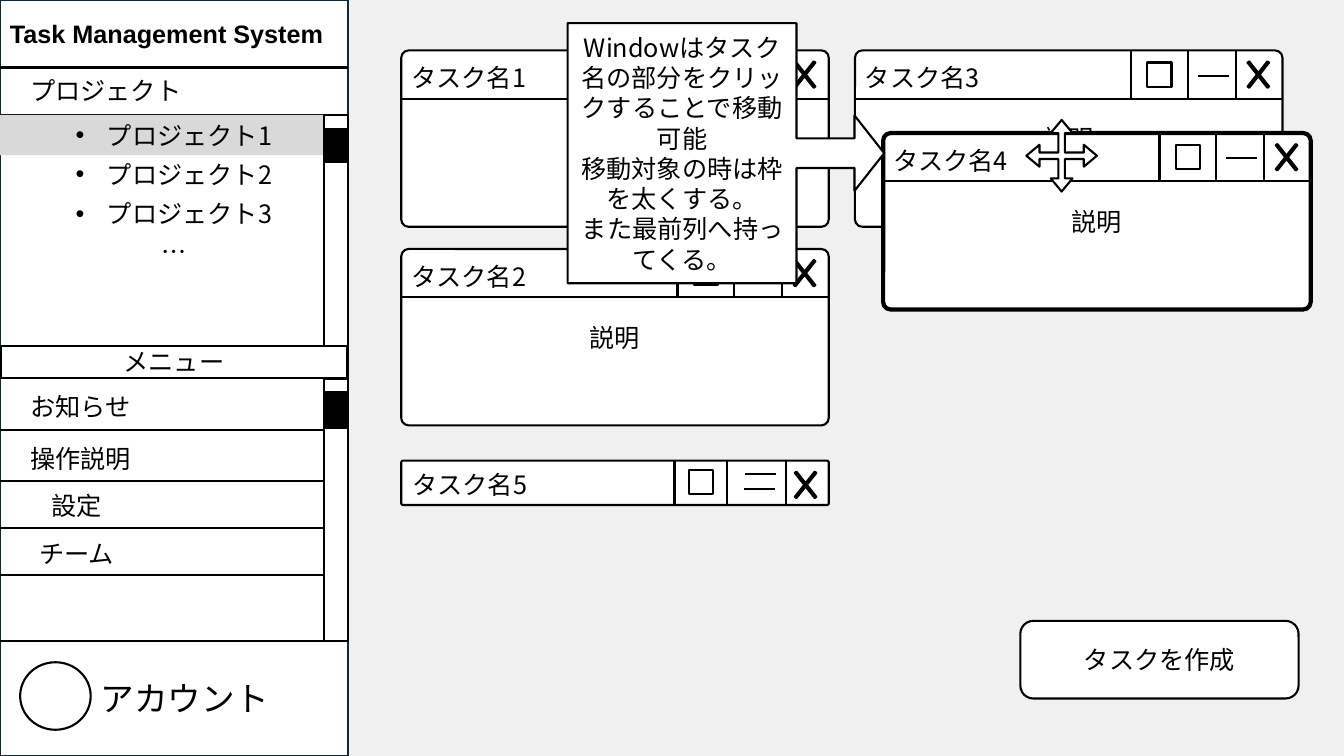
"""Build the task management screen mock-up slide."""
from lxml import etree
from pptx import Presentation
from pptx.dml.color import RGBColor
from pptx.enum.shapes import MSO_CONNECTOR, MSO_SHAPE
from pptx.enum.text import MSO_ANCHOR, PP_ALIGN
from pptx.oxml.ns import qn
from pptx.util import Pt

PX = 9144
BLACK = RGBColor(0, 0, 0)
WHITE = RGBColor(255, 255, 255)
NAVY = RGBColor(0x09, 0x2A, 0x39)
SELECTED = RGBColor(0xD9, 0xD9, 0xD9)
CANVAS = RGBColor(0xF0, 0xF0, 0xF0)
JAPANESE = "Noto Sans CJK JP"
RECT = MSO_SHAPE.RECTANGLE
ROUND = MSO_SHAPE.ROUNDED_RECTANGLE
OVAL = MSO_SHAPE.OVAL
CROSS = MSO_SHAPE.MATH_MULTIPLY
MOVE = MSO_SHAPE.QUAD_ARROW
CALLOUT = MSO_SHAPE.RIGHT_ARROW_CALLOUT
STRAIGHT = MSO_CONNECTOR.STRAIGHT
LEFT = PP_ALIGN.LEFT
CENTER = PP_ALIGN.CENTER
TOP = MSO_ANCHOR.TOP
MIDDLE = MSO_ANCHOR.MIDDLE


def emu(*lengths):
    """Turn px lengths into EMU."""
    return [length * PX for length in lengths]


def write(box, text, align=CENTER, anchor=MIDDLE, size=18, font=JAPANESE, bold=False):
    """Fill a shape or text box with one paragraph per line of text."""
    frame = box.text_frame
    frame.word_wrap = True
    frame.vertical_anchor = anchor
    for index, line in enumerate(text.split("\n")):
        para = frame.add_paragraph() if index else frame.paragraphs[0]
        para.alignment = align
        span = para.add_run()
        span.text = line
        span.font.size = Pt(size)
        span.font.bold = bold
        span.font.color.rgb = BLACK
        span.font.name = font
        etree.SubElement(span.font._element, qn("a:ea"), typeface=font)


def add_box(page, kind, at, fill=WHITE, line=BLACK, width=1.5, adjust=(), text=""):
    """Add a filled preset shape, optionally with centred text."""
    box = page.shapes.add_shape(kind, *emu(*at))
    box.shadow.inherit = False
    for index, value in enumerate(adjust):
        box.adjustments[index] = value
    box.fill.solid()
    box.fill.fore_color.rgb = fill
    if line is None:
        box.line.fill.background()
    else:
        box.line.color.rgb = line
        box.line.width = Pt(width)
    if text:
        write(box, text)
    return box


def add_label(page, at, text, align=LEFT, **style):
    """Add a text box anchored at its top."""
    box = page.shapes.add_textbox(*emu(*at))
    write(box, text, align, TOP, **style)
    return box


def add_rule(page, x1, y1, x2, y2):
    """Add a straight black line."""
    rule = page.shapes.add_connector(STRAIGHT, *emu(x1, y1, x2, y2))
    rule.line.color.rgb = BLACK
    rule.line.width = Pt(1.5)
    etree.SubElement(rule._element.spPr, qn("a:effectLst"))


def add_bullet(box):
    """Give the first paragraph of a box a hanging round bullet."""
    props = box.text_frame.paragraphs[0]._p.get_or_add_pPr()
    props.set("marL", str(31 * PX))
    props.set("indent", str(-31 * PX))
    etree.SubElement(props, qn("a:buFont"), typeface="Arial")
    etree.SubElement(props, qn("a:buChar"), char="•")


def add_controls(page, x, y, height, dividers, cross, square, dashes):
    """Add the maximise, minimise and close controls of a title bar."""
    for divider in dividers:
        add_rule(page, x + divider, y, x + divider, y + height)
    add_box(page, CROSS, (x + cross, y, 38, 48), BLACK, adjust=(0.054,))
    add_box(page, RECT, (x + square[0], y + square[1], 24, 24))
    for left, down in dashes:
        add_rule(page, x + left, y + down, x + left + 31, y + down)


def add_window(page, x, y, name, text="", width=1.5):
    """Add an open task window."""
    add_box(page, ROUND, (x, y, 424, 175), width=width, adjust=(0.042,), text=text)
    add_rule(page, x, y + 48, x + 424, y + 48)
    add_controls(page, x, y, 48, (274, 330, 378), 381, (290, 12), [(340, 25)])
    add_label(page, (x, y + 7, 135, 40), name)


def add_folded_window(page, x, y, name):
    """Add a task window folded down to its title bar."""
    add_box(page, ROUND, (x, y, 424, 44), adjust=(0.042,))
    add_label(page, (x + 1, y + 4, 135, 40), name)
    add_controls(page, x, y, 44, (271, 323, 382), 382, (285, 9), [(340, 28), (341, 13)])


def add_scrollbar(page, y, height, thumb_y, thumb_height):
    """Add a sidebar scrollbar with its thumb."""
    add_box(page, RECT, (321, y, 24, height))
    add_box(page, RECT, (321, thumb_y, 24, thumb_height), BLACK)


def add_sidebar(page):
    """Add the project list, the menu and the account area."""
    add_box(page, RECT, (0, 0, 345, 750), line=NAVY)
    for y in (67, 114, 375, 427, 477, 524, 570, 636):
        add_rule(page, 345, y, 0, y)
    add_label(page, (0, 13, 345, 40), "Task Management System", font="Arial", bold=True)
    add_label(page, (20, 70, 172, 40), "プロジェクト")
    add_box(page, RECT, (0, 114, 345, 40), SELECTED, None)
    for index in range(3):
        at = (0, 114 + 39 * index, 345, 40)
        add_bullet(add_label(page, at, f"プロジェクト{index + 1}", CENTER))
    add_label(page, (0, 230, 345, 40), "…", CENTER)
    add_scrollbar(page, 114, 261, 128, 33)
    for y, text in ((383, "お知らせ"), (435, "操作説明")):
        add_label(page, (20, y, 122, 40), text)
    for y, text in ((482, "設定"), (529, "チーム")):
        add_label(page, (20, y, 112, 40), text, CENTER)
    add_scrollbar(page, 376, 260, 389, 36)
    add_box(page, RECT, (1, 343, 343, 32), text="メニュー")
    add_box(page, OVAL, (20, 657, 70, 67))
    add_label(page, (90, 668, 215, 50), "アカウント", size=24)


def main():
    """Build and save the deck."""
    deck = Presentation()
    deck.slide_width, deck.slide_height = emu(1333, 750)
    page = deck.slides.add_slide(deck.slide_layouts[6])
    page.background.fill.solid()
    page.background.fill.fore_color.rgb = CANVAS
    add_sidebar(page)
    add_window(page, 398, 50, "タスク名1")
    add_folded_window(page, 398, 457, "タスク名5")
    add_window(page, 398, 247, "タスク名2", "説明")
    add_window(page, 848, 50, "タスク名3", "説明")
    add_window(page, 876, 132, "タスク名4", "説明", 3)
    add_box(page, MOVE, (1018, 119, 70, 71), adjust=(0.092, 0.155, 0.186))
    add_box(page, CALLOUT, (563, 23, 314, 258), adjust=(0.114, 0.145, 0.114, 0.723),
            text="Windowはタスク名の部分をクリックすることで移動可能\n"
                 "移動対象の時は枠を太くする。\nまた最前列へ持ってくる。")
    add_box(page, ROUND, (1012, 616, 276, 77), text="タスクを作成")
    deck.save("out.pptx")


if __name__ == "__main__":
    main()
